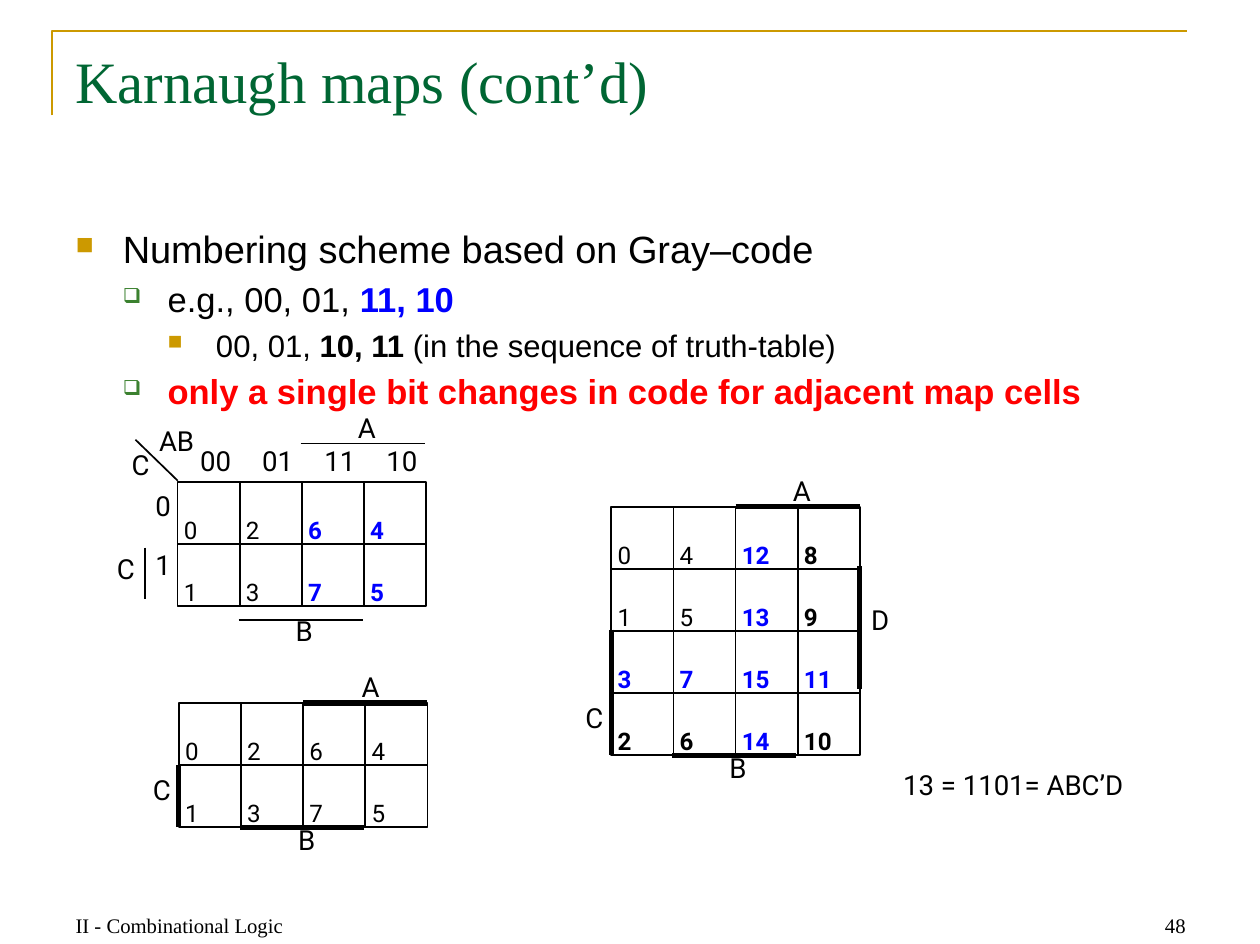
"""Build the slide on Karnaugh map numbering."""
from lxml import etree
from pptx import Presentation
from pptx.dml.color import RGBColor
from pptx.enum.shapes import MSO_CONNECTOR, MSO_SHAPE
from pptx.enum.text import MSO_ANCHOR, PP_ALIGN
from pptx.oxml.ns import qn
from pptx.util import Inches, Pt

STRAIGHT = MSO_CONNECTOR.STRAIGHT
RECT = MSO_SHAPE.RECTANGLE
TOP, BOTTOM = MSO_ANCHOR.TOP, MSO_ANCHOR.BOTTOM
LEFT, CENTER, RIGHT = PP_ALIGN.LEFT, PP_ALIGN.CENTER, PP_ALIGN.RIGHT

BLACK = RGBColor(0, 0, 0)
BLUE = RGBColor(0, 0, 255)
RED = RGBColor(255, 0, 0)
GREEN = RGBColor(0, 0x66, 0x33)
GOLD = RGBColor(0xCC, 0x99, 0)
BULLET_GREEN = RGBColor(0x3B, 0x81, 0x2F)
SERIF, SANS, MAP_FONT = "Times New Roman", "Arial", "Roboto"

FRAME = [(0.42, 0.93), (0.42, 0.25), (9.55, 0.25)]

# text, left, top, width, height, size, font, colour, alignment, anchor
HEADINGS = [
    ("II - Combinational Logic", 0.51, 7.09, 2.37, 0.51, 12, SERIF, BLACK, LEFT, BOTTOM),
    ("48", 7.27, 7.09, 2.37, 0.51, 12, SERIF, BLACK, RIGHT, BOTTOM),
    ("Karnaugh maps (cont’d)", 0.51, 0.31, 9.12, 1.26, 34, SERIF, GREEN, LEFT, TOP),
]

# level, runs of (text, colour, bold)
BODY = [
    (0, [("Numbering scheme based on Gray–code", BLACK, False)]),
    (1, [("e.g., 00, 01, ", BLACK, False), ("11, 10", BLUE, True)]),
    (2, [("00, 01, ", BLACK, False), ("10, 11 ", BLACK, True),
         ("(in the sequence of truth-table)", BLACK, False)]),
    (1, [("only a single bit changes in code for adjacent map cells", RED, True)]),
]
# size, margin, indent, bullet, bullet colour, bullet size in percent
LEVELS = [
    (22, 0.38, -0.38, "■", GOLD, 65),
    (20, 0.74, -0.36, "❑", BULLET_GREEN, 60),
    (18, 1.13, -0.39, "■", GOLD, 65),
]

# left, top, cell numbers, blue numbers, bold black numbers
MAPS = [
    (1.43, 3.88, [[0, 2, 6, 4], [1, 3, 7, 5]], {4, 5, 6, 7}, set()),
    (1.44, 5.66, [[0, 2, 6, 4], [1, 3, 7, 5]], set(), set()),
    (4.92, 4.08, [[0, 4, 12, 8], [1, 5, 13, 9], [3, 7, 15, 11], [2, 6, 14, 10]],
     {3, 7, 11, 12, 13, 14, 15}, {2, 6, 8, 9, 10}),
]

# start x, start y, end x, end y, width
MARKS = [
    (1.43, 3.87, 1.09, 3.54, 1),
    (2.42, 3.57, 3.42, 3.57, 1),
    (1.92, 4.99, 2.92, 4.99, 1),
    (1.17, 4.41, 1.17, 4.82, 1),
    (2.44, 5.66, 3.44, 5.66, 3),
    (1.93, 6.66, 2.93, 6.66, 3),
    (1.44, 6.16, 1.44, 6.66, 3),
    (5.92, 4.08, 6.92, 4.08, 3),
    (6.92, 4.56, 6.92, 5.55, 3),
    (5.41, 6.08, 6.41, 6.08, 3),
    (4.92, 5.07, 4.92, 6.08, 3),
]

LABELS = [
    ("AB", 1.26, 3.43), ("C", 1.04, 3.62), ("0", 1.23, 3.95), ("1", 1.23, 4.43),
    ("C", 0.92, 4.46), ("B", 2.36, 4.96), ("A", 2.86, 3.32),
    ("C", 1.21, 6.24), ("B", 2.38, 6.64), ("A", 2.89, 5.41),
    ("D", 6.99, 4.87), ("A", 6.36, 3.83), ("C", 4.69, 5.66), ("B", 5.85, 6.06),
]
GRAY_CODES = ["00", "01", "11", "10"]
GRAY_LEFT, GRAY_TOP, CELL = 1.43, 3.59, 0.5
EQUATION = ("13 = 1101= ABC’D", 7.17, 6.13, 2.06, 0.37)


def style(r, size, font, color, bold=False):
    r.font.size, r.font.name, r.font.bold = Pt(size), font, bold
    r.font.color.rgb = color


def text_box(s, x, y, w, h, wrap=True, tight=False):
    tf = s.shapes.add_textbox(Inches(x), Inches(y), Inches(w), Inches(h)).text_frame
    tf.word_wrap = wrap
    if tight:
        tf.margin_left = tf.margin_right = Inches(0.02)
        tf.margin_top = tf.margin_bottom = Inches(0.03)
    return tf


def label(s, text, x, y, align=LEFT):
    tf = text_box(s, x, y, 0.61, 0.36, wrap=False, tight=True)
    tf.text = text
    p = tf.paragraphs[0]
    p.alignment, p.line_spacing = align, Pt(16)
    style(p.runs[0], 16, MAP_FONT, BLACK)


def add_line(s, x1, y1, x2, y2, width):
    c = s.shapes.add_connector(STRAIGHT, Inches(x1), Inches(y1), Inches(x2), Inches(y2))
    c.line.color.rgb, c.line.width = BLACK, Pt(width)
    etree.SubElement(c._element.spPr, qn("a:effectLst"))
    return c


def add_bullet(p, margin, indent, char, color, percent):
    pPr = p._p.get_or_add_pPr()
    pPr.set("marL", str(Inches(margin)))
    pPr.set("indent", str(Inches(indent)))
    clr = etree.SubElement(pPr, qn("a:buClr"))
    etree.SubElement(clr, qn("a:srgbClr"), val=str(color))
    etree.SubElement(pPr, qn("a:buSzPct"), val=str(percent * 1000))
    etree.SubElement(pPr, qn("a:buChar"), char=char)


def add_block(s, x, y, rows, blue, bold):
    sp = s.shapes.add_shape(RECT, Inches(x), Inches(y), Inches(1), Inches(1))
    sp.shadow.inherit = False
    sp.fill.background()
    sp.line.color.rgb, sp.line.width = BLACK, Pt(1)
    for start, end in [(0, 2), (3, 1)]:
        c = add_line(s, x, y, x + 1, y + 1, 1)
        c.begin_connect(sp, start)
        c.end_connect(sp, end)

    tf = text_box(s, x + 0.03, y + 0.22, 0.9, 0.89, wrap=False, tight=True)
    for i, row in enumerate(rows):
        p = tf.add_paragraph() if i else tf.paragraphs[0]
        tabs = etree.SubElement(p._p.get_or_add_pPr(), qn("a:tabLst"))
        etree.SubElement(tabs, qn("a:tab"), pos=str(Inches(CELL)), algn="l")
        p.line_spacing = Pt(18)
        if i:
            p.space_before = Pt(18)
        for number, end in zip(row, ["\t", ""]):
            r = p.add_run()
            r.text = f"{number}{end}"
            color = BLUE if number in blue else BLACK
            style(r, 14, MAP_FONT, color, number in blue | bold)


def add_map(s, x, y, grid, blue, bold):
    for i in range(0, len(grid), 2):
        for j in range(0, len(grid[0]), 2):
            rows = [row[j:j + 2] for row in grid[i:i + 2]]
            add_block(s, x + j * CELL, y + i * CELL, rows, blue, bold)


def main():
    prs = Presentation()
    prs.slide_width, prs.slide_height = Inches(10.14), Inches(7.6)
    s = prs.slides.add_slide(prs.slide_layouts[6])

    points = [(Inches(x), Inches(y)) for x, y in FRAME]
    builder = s.shapes.build_freeform(*points[0])
    builder.add_line_segments(points[1:], close=False)
    frame = builder.convert_to_shape()
    frame.shadow.inherit = False
    frame.fill.background()
    frame.line.color.rgb, frame.line.width = GOLD, Pt(1.5)

    for text, x, y, w, h, size, font, color, align, anchor in HEADINGS:
        tf = text_box(s, x, y, w, h)
        tf.text, tf.vertical_anchor = text, anchor
        tf.paragraphs[0].alignment = align
        style(tf.paragraphs[0].runs[0], size, font, color)

    tf = text_box(s, 0.51, 1.77, 9.12, 5.02)
    for i, (level, runs) in enumerate(BODY):
        p = tf.add_paragraph() if i else tf.paragraphs[0]
        size, *bullet = LEVELS[level]
        add_bullet(p, *bullet)
        p.level = level
        if i:
            p.space_before = Pt(size * 0.2)
        for text, color, bold in runs:
            r = p.add_run()
            r.text = text
            style(r, size, SANS, color, bold)

    for karnaugh_map in MAPS:
        add_map(s, *karnaugh_map)
    for mark in MARKS:
        add_line(s, *mark)
    for item in LABELS:
        label(s, *item)
    for i, code in enumerate(GRAY_CODES):
        label(s, code, GRAY_LEFT + i * CELL, GRAY_TOP, CENTER)

    text, *place = EQUATION
    tf = text_box(s, *place, wrap=False)
    tf.text = text
    style(tf.paragraphs[0].runs[0], 16, MAP_FONT, BLACK)

    prs.save("out.pptx")


if __name__ == "__main__":
    main()
